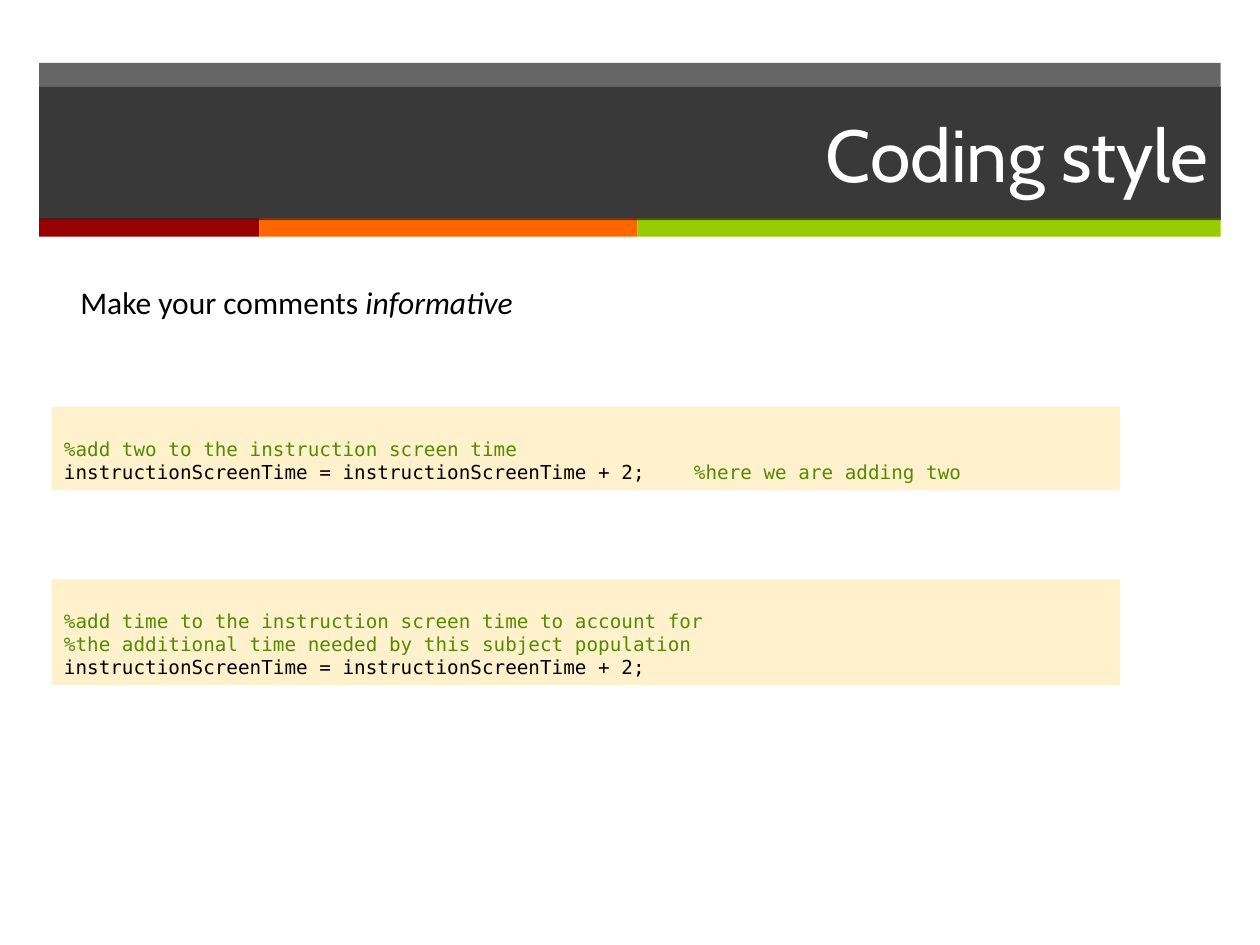
"""Build the "Coding style" slide with a banded title and two code samples."""
import pptx
import pptx.dml.color
import pptx.enum.shapes
import pptx.enum.text
import pptx.oxml
import pptx.oxml.ns
import pptx.util

Cm = pptx.util.Cm
Pt = pptx.util.Pt
RGBColor = pptx.dml.color.RGBColor
Anchor = pptx.enum.text.MSO_ANCHOR

WHITE = RGBColor(0xFF, 0xFF, 0xFF)
BLACK = RGBColor(0x00, 0x00, 0x00)
CHARCOAL = RGBColor(0x26, 0x26, 0x26)
RED = RGBColor(0x99, 0x00, 0x00)
ORANGE = RGBColor(0xFF, 0x66, 0x00)
LIME = RGBColor(0x99, 0xCC, 0x00)
CREAM = RGBColor(0xFF, 0xF1, 0xCC)
GREEN = RGBColor(0x52, 0x8A, 0x02)

TITLE_FONT = {"name": "Cabin", "size": Pt(42)}
BODY_FONT = {"name": "Calibri", "size": Pt(18)}
CODE_FONT = {"name": "DejaVu Sans Mono", "size": Pt(11)}


def add_block(left, top, width, height, color):
    block = slide.shapes.add_shape(
        pptx.enum.shapes.MSO_SHAPE.RECTANGLE, Cm(left), Cm(top), Cm(width), Cm(height))
    block.shadow.inherit = False
    block.fill.solid()
    block.fill.fore_color.rgb = color
    block.line.fill.background()
    return block


def add_span(para, text, color, font_values):
    span = para.add_run()
    span.text = text
    span.font.color.rgb = color
    for name, value in font_values.items():
        setattr(span.font, name, value)


deck = pptx.Presentation()
deck.slide_width, deck.slide_height = Cm(25.4), Cm(19.05)
slide = deck.slides.add_slide(deck.slide_layouts[5])

banner = add_block(0.79, 1.27, 23.82, 3.14, CHARCOAL)
band_left = 0.79
for band_width, band_color in ((4.44, RED), (7.62, ORANGE), (11.76, LIME)):
    add_block(band_left, 4.4, band_width, 0.37, band_color)
    band_left += band_width

title = slide.shapes.title
slide.shapes._spTree.append(title._element)
title.left, title.top, title.width, title.height = Cm(0.79), Cm(1.75), Cm(23.82), Cm(2.69)
title.fill.solid()
title.fill.fore_color.rgb = CHARCOAL
title.text_frame.auto_size = pptx.enum.text.MSO_AUTO_SIZE.NONE
title.text_frame.vertical_anchor = Anchor.MIDDLE
title_para = title.text_frame.paragraphs[0]
title_para.alignment = pptx.enum.text.PP_ALIGN.RIGHT
add_span(title_para, "Coding style", WHITE, TITLE_FONT)

for shape in (banner, title):
    for color_element in shape._element.spPr.iter(pptx.oxml.ns.qn("a:srgbClr")):
        color_element.append(pptx.oxml.parse_xml(
            f'<a:alpha {pptx.oxml.ns.nsdecls("a")} val="70000"/>'))

code_samples = (
    (8.2, 1.68, (
        (("%add two to the instruction screen time", GREEN),),
        (("instructionScreenTime = instructionScreenTime + 2;\t", BLACK),
         ("%here we are adding two", GREEN)),
    )),
    (11.68, 2.13, (
        (("%add time to the instruction screen time to account for", GREEN),),
        (("%the additional time needed by this subject population", GREEN),),
        (("instructionScreenTime = instructionScreenTime + 2;", BLACK),),
    )),
)
for top, height, lines in code_samples:
    frame = add_block(1.04, top, 21.54, height, CREAM).text_frame
    frame.word_wrap = True
    frame.vertical_anchor = Anchor.BOTTOM
    for index, line in enumerate(lines):
        para = frame.add_paragraph() if index else frame.paragraphs[0]
        para.alignment = pptx.enum.text.PP_ALIGN.LEFT
        para._p.get_or_add_pPr().append(pptx.oxml.parse_xml(
            f'<a:tabLst {pptx.oxml.ns.nsdecls("a")}>'
            f'<a:tab pos="{Cm(12.7)}" algn="l"/></a:tabLst>'))
        for text, color in line:
            add_span(para, text, color, CODE_FONT)

advice = slide.shapes.add_textbox(Cm(1.37), Cm(5.59), Cm(11.81), Cm(1.02)).text_frame
advice.word_wrap = True
add_span(advice.paragraphs[0], "Make your comments ", BLACK, BODY_FONT)
add_span(advice.paragraphs[0], "informative", BLACK, {**BODY_FONT, "italic": True})

deck.save("out.pptx")
